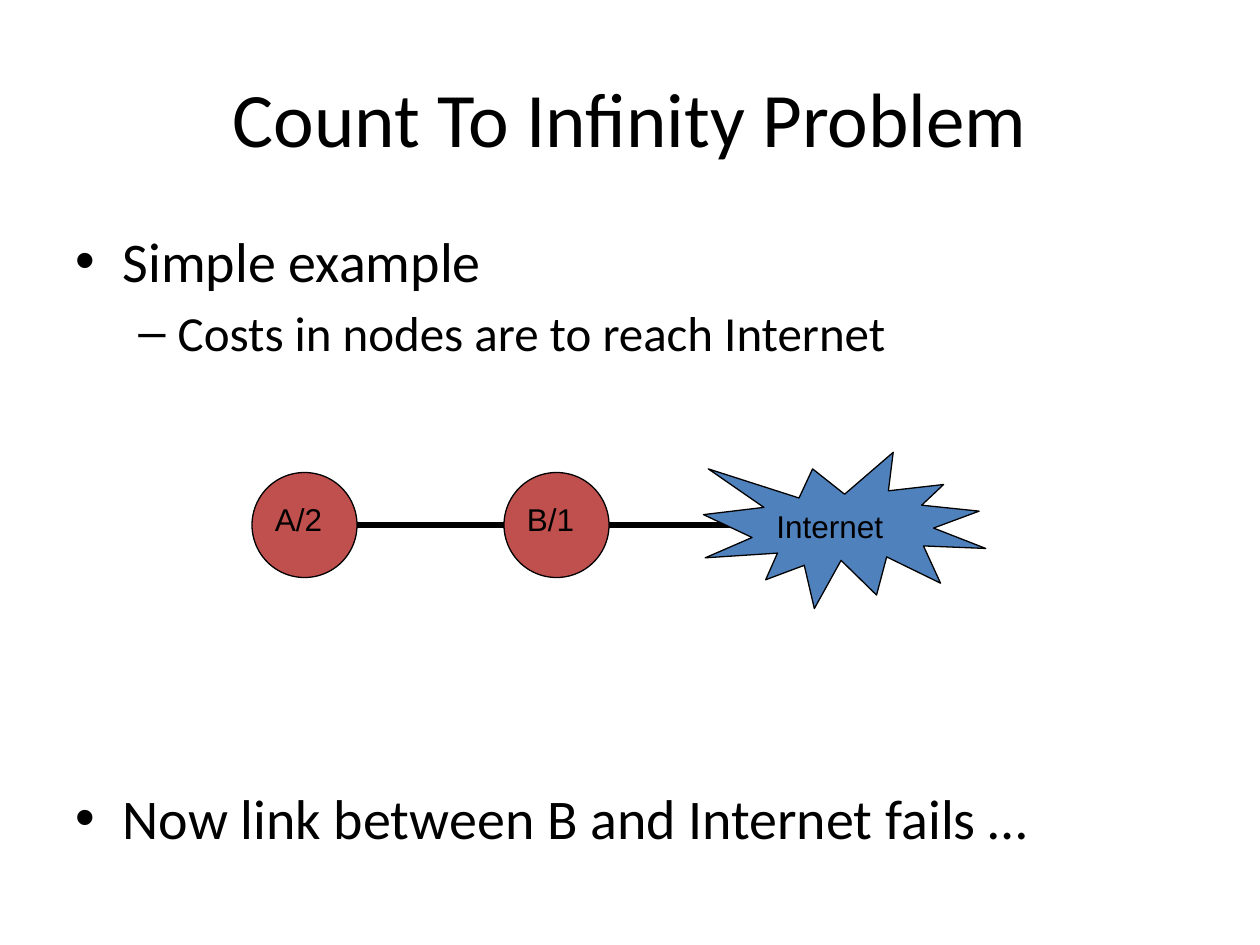
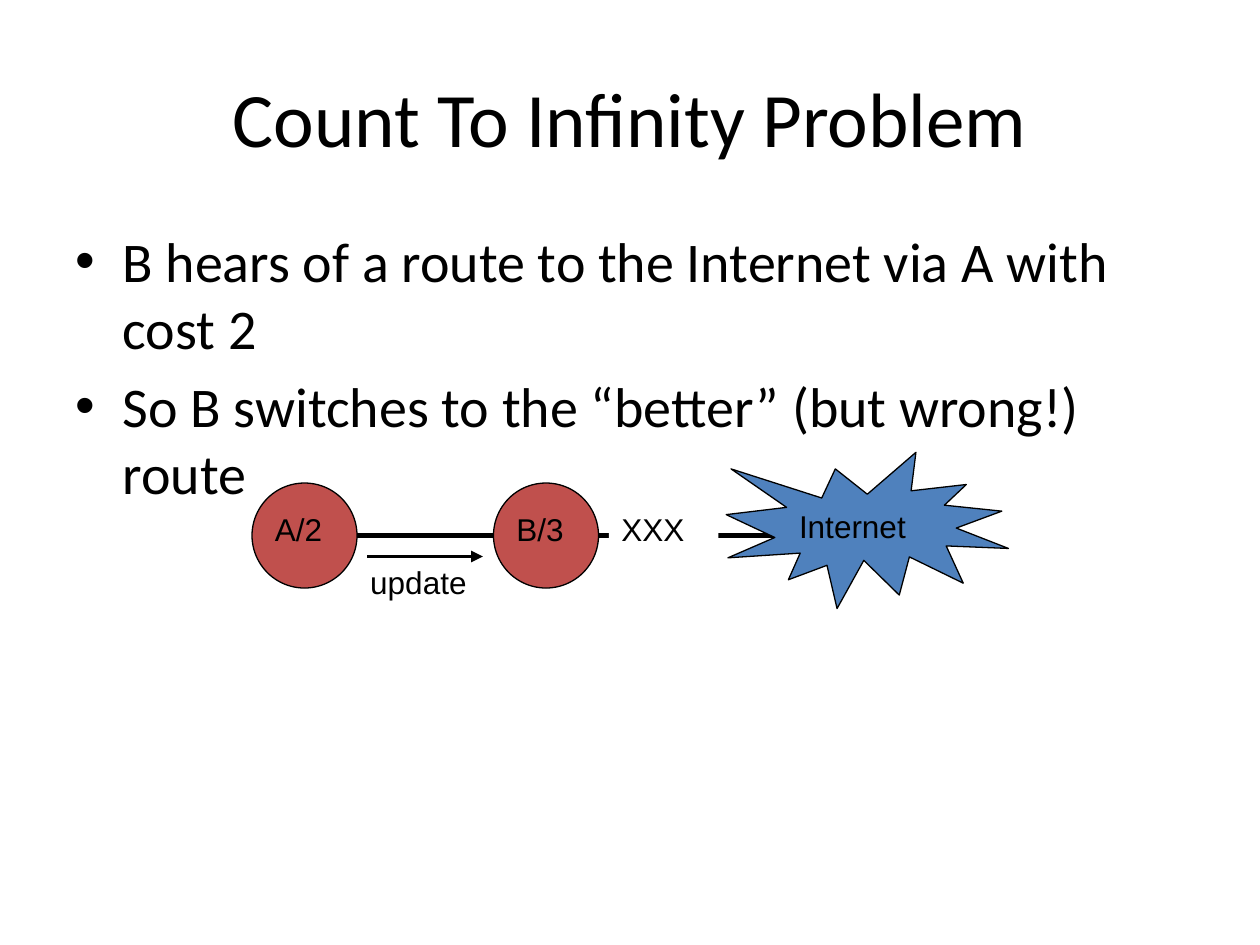
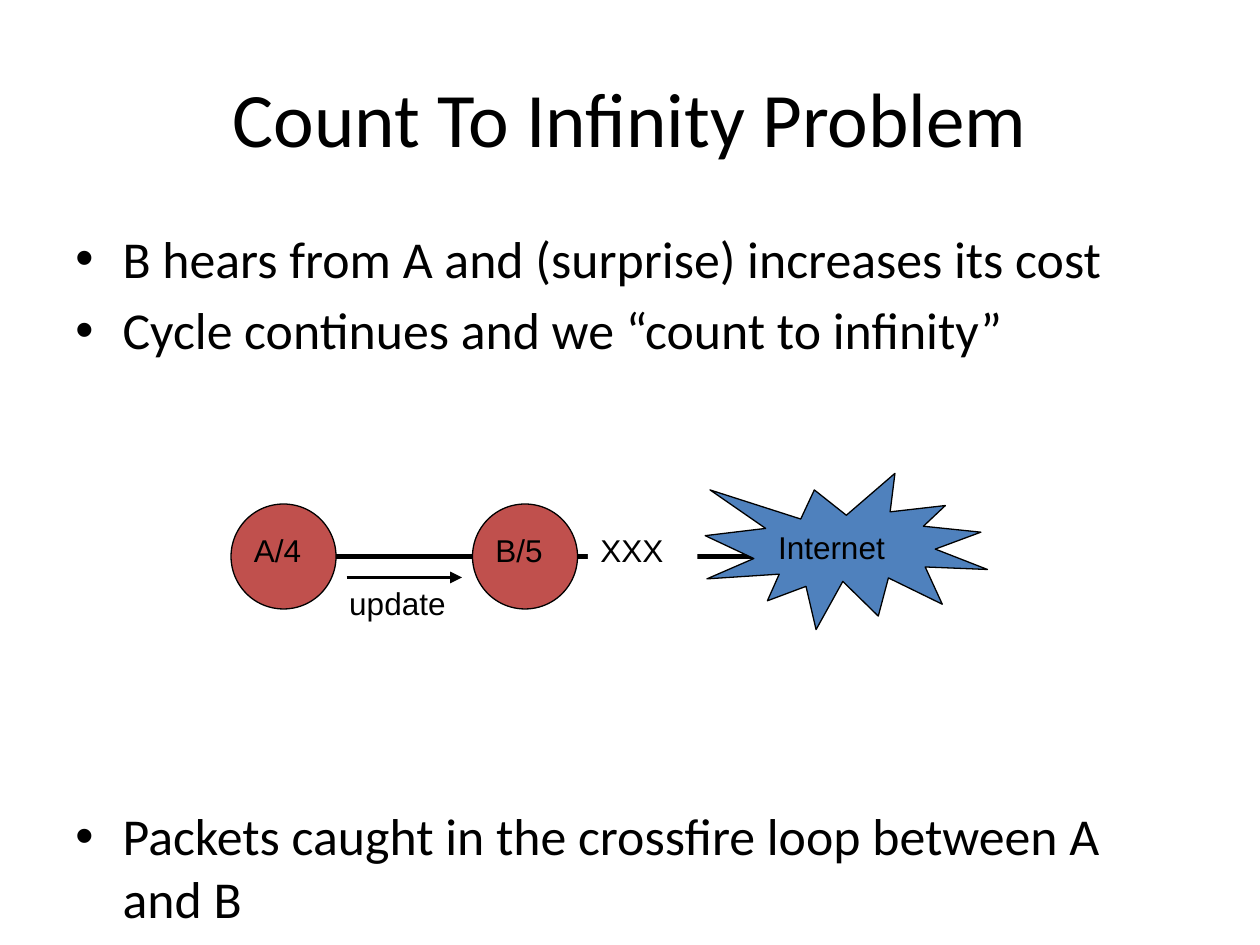
from dataclasses import dataclass

from lxml import etree
from pptx import Presentation
from pptx.dml.color import RGBColor
from pptx.enum import shapes, text
from pptx.oxml import ns
from pptx.util import Pt


@dataclass(frozen=True)
class Theme:
    """Colours, fonts and type sizes shared by the slides."""
    ink: RGBColor = RGBColor(0x00, 0x00, 0x00)
    paper: RGBColor = RGBColor(0xFF, 0xFF, 0xFF)
    node: RGBColor = RGBColor(0xC0, 0x50, 0x4D)
    cloud: RGBColor = RGBColor(0x4F, 0x81, 0xBD)
    prose_font: str = "Calibri"
    label_font: str = "Arial"
    title_size: float = 44
    body_size: float = 32
    sub_size: float = 28
    tight_size: float = 29.6
    label_size: float = 18
    outline: float = 0.75
    link: float = 3
    update: float = 2.25


THEME = Theme()
TITLE = "Count To Infinity Problem"
NODE_SIZE = 60
BULLETS = (("•", 27, 27), ("–", 58.5, 22.5))
SPACING = 0.18


def style(paragraph, font_name, size):
    """Set the font of a whole paragraph."""
    font = paragraph.font
    font.name, font.size = font_name, Pt(size)
    font.color.rgb = THEME.ink


def add_titled_slide(deck):
    """Add a title-only slide carrying the shared title."""
    slide = deck.slides.add_slide(deck.slide_layouts[5])
    title = slide.shapes.title
    title.left, title.top, title.width, title.height = map(Pt, (36, 21.6, 648, 90))
    title.text_frame.text = TITLE
    title.text_frame.vertical_anchor = text.MSO_ANCHOR.MIDDLE
    heading = title.text_frame.paragraphs[0]
    heading.alignment = text.PP_ALIGN.CENTER
    style(heading, THEME.prose_font, THEME.title_size)
    return slide


def set_bullet(paragraph, level):
    """Give a paragraph the bullet and hanging indent of its level."""
    mark, margin, hang = BULLETS[level]
    paragraph.level = level
    properties = paragraph._p.get_or_add_pPr()
    properties.set("marL", str(Pt(margin)))
    properties.set("indent", str(-Pt(hang)))
    etree.SubElement(properties, ns.qn("a:buFont"), typeface=THEME.label_font)
    etree.SubElement(properties, ns.qn("a:buChar"), char=mark)


def add_points(slide, points):
    """Add bulleted points given as wording, level, size and gap above."""
    frame = slide.shapes.add_textbox(*map(Pt, (36, 126, 648, 356.4))).text_frame
    frame.word_wrap = True
    for index, (wording, level, size, gap) in enumerate(points):
        point = frame.paragraphs[0] if index == 0 else frame.add_paragraph()
        point.text = wording
        set_bullet(point, level)
        if index:
            point.space_before = Pt(gap or round(size * SPACING, 1))
        style(point, THEME.prose_font, size)


def add_figure(slide, kind, left, top, width, height, color):
    """Add an outlined preset shape."""
    figure = slide.shapes.add_shape(kind, *map(Pt, (left, top, width, height)))
    figure.shadow.inherit = False
    figure.fill.solid()
    figure.fill.fore_color.rgb = color
    figure.line.color.rgb = THEME.ink
    figure.line.width = Pt(THEME.outline)
    return figure


def write_label(frame, wording):
    """Write a left-aligned diagram label into a text frame."""
    frame.word_wrap = True
    frame.text = wording
    frame.paragraphs[0].alignment = text.PP_ALIGN.LEFT
    style(frame.paragraphs[0], THEME.label_font, THEME.label_size)


def add_label(slide, wording, left, top, width):
    """Add a diagram label and return its box."""
    label = slide.shapes.add_textbox(*map(Pt, (left, top, width, 36)))
    write_label(label.text_frame, wording)
    return label


def add_arrow(slide, start, end, y, weight):
    """Add a horizontal arrow."""
    arrow = slide.shapes.add_connector(
        shapes.MSO_CONNECTOR.STRAIGHT, Pt(start), Pt(y), Pt(end), Pt(y))
    arrow.line.color.rgb = THEME.ink
    arrow.line.width = Pt(weight)
    etree.SubElement(arrow.line._get_or_add_ln(), ns.qn("a:tailEnd"), type="triangle")
    etree.SubElement(arrow._element.spPr, ns.qn("a:effectLst"))


def add_network(slide, left, top, costs, node_step, cloud_offset, failed):
    """Draw nodes A and B, their link to the Internet and, if it failed, the update."""
    middle = top + NODE_SIZE / 2
    if failed:
        add_arrow(slide, left + 66, left + 132, middle + 12, THEME.update)
        add_label(slide, "update", left + 60.5, middle + 12, 88)
    add_arrow(slide, left + 24, left + 312, middle, THEME.link)
    for index, cost in enumerate(costs):
        node_left = left + index * node_step
        add_figure(slide, shapes.MSO_SHAPE.OVAL, node_left, top,
                   NODE_SIZE, NODE_SIZE, THEME.node)
        add_label(slide, cost, node_left + 6, top + 12, 50.4)
    cloud_left, cloud_top = cloud_offset
    internet = add_figure(slide, shapes.MSO_SHAPE.EXPLOSION1, left + cloud_left,
                          top + cloud_top, 161.3, 89.3, THEME.cloud)
    internet.text_frame.vertical_anchor = text.MSO_ANCHOR.MIDDLE
    write_label(internet.text_frame, "Internet")
    if failed:
        outage = add_label(slide, "XXX", left + 204, top + 12, 62.6)
        outage.fill.solid()
        outage.fill.fore_color.rgb = THEME.paper


def main():
    """Build the three slides and save them."""
    deck = Presentation()
    deck.slide_width, deck.slide_height = Pt(720), Pt(540)
    body, sub, tight = THEME.body_size, THEME.sub_size, THEME.tight_size

    example = add_titled_slide(deck)
    add_points(example, (
        ("Simple example", 0, body, None),
        ("Costs in nodes are to reach Internet", 1, sub, None),
        ("Now link between B and Internet fails …", 0, body, 241),
    ))
    add_network(example, 144, 270, ("A/2", "B/1"), 144, (258, -11.5), False)

    switch = add_titled_slide(deck)
    add_points(switch, (
        ("B hears of a route to the Internet via A with cost 2", 0, body, None),
        ("So B switches to the “better” (but wrong!) route", 0, body, None),
    ))
    add_network(switch, 144, 276, ("A/2", "B/3"), 138, (271, -17.5), True)

    cycle = add_titled_slide(deck)
    add_points(cycle, (
        ("B hears from A and (surprise) increases its cost", 0, tight, None),
        ("Cycle continues and we “count to infinity”", 0, tight, None),
        ("Packets caught in the crossfire loop between A and B", 0, tight, 253.6),
    ))
    add_network(cycle, 132, 288, ("A/4", "B/5"), 138, (271, -17.5), True)

    deck.save("out.pptx")


if __name__ == "__main__":
    main()
